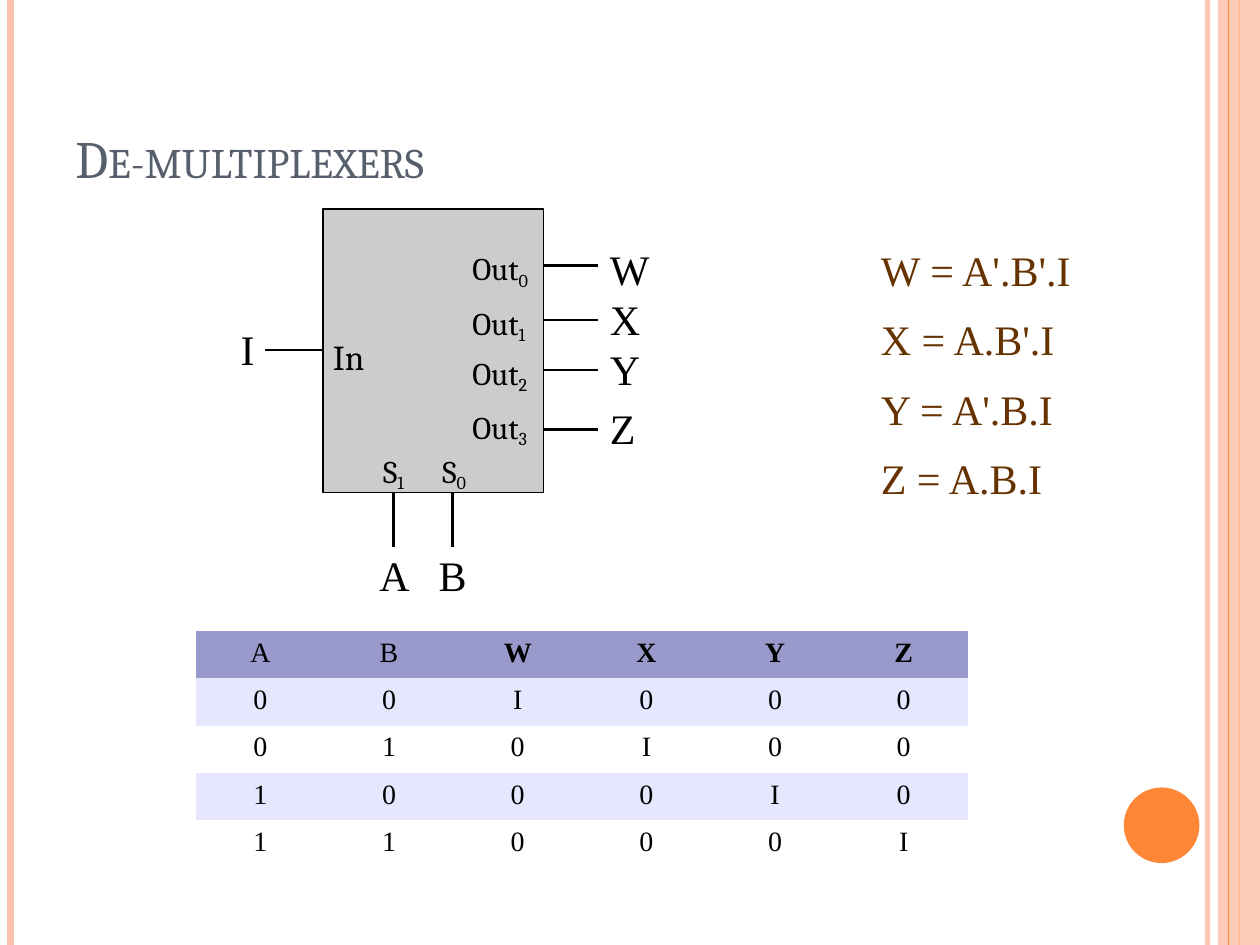
from lxml import etree
from pptx import Presentation
from pptx import util as u
from pptx.dml.color import RGBColor
from pptx.enum import shapes, text
from pptx.oxml.ns import qn

COLOURS = {
    "ink": "000000", "title": "575F6D", "formula": "663300", "block": "CCCCCC",
    "peach": "FEC3AE", "orange": "FE8637",
    "header": "9999CC", "band": "E6E6FF", "plain": "FFFFFF",
}
SERIF, TIMES = "Cambria", "Times New Roman"
PORT = {"name": SERIF, "size": u.Pt(18)}
PIN = {"name": SERIF, "size": u.Pt(20)}
SIGNAL = {"name": TIMES, "size": u.Pt(24)}
CELL = {"name": TIMES, "size": u.Pt(16)}
TITLE = {"name": SERIF, "size": u.Pt(30)}
NO_GRID_STYLE = "{2D5ABB26-0587-4C30-8999-92F81FD0307C}"


def colour(name):
    return RGBColor.from_string(COLOURS[name])


def points(*values):
    return [u.Pt(value) for value in values]


def set_values(target, values):
    for name, value in values.items():
        setattr(target, name, value)


def set_alpha(fill_parent, percent):
    """Make the first solid colour below an element translucent."""
    element = next(fill_parent.iter(qn("a:srgbClr")))
    etree.SubElement(element, qn("a:alpha")).set("val", str(percent * 1000))


def add_run(paragraph, wording, font, ink):
    run = paragraph.add_run()
    run.text = wording
    set_values(run.font, font)
    run.font.color.rgb = colour(ink)
    return run


def add_text(slide, box, wording, font, ink="ink", subscript="", top=5, anchor="TOP"):
    frame = slide.shapes.add_textbox(*points(*box)).text_frame
    set_values(frame, {
        "word_wrap": True, "vertical_anchor": text.MSO_ANCHOR[anchor],
        "margin_left": u.Pt(7.2), "margin_right": u.Pt(7.2),
        "margin_top": u.Pt(top), "margin_bottom": u.Pt(3.6),
    })
    paragraph = frame.paragraphs[0]
    if font is SIGNAL:
        paragraph.line_spacing = 0.95
    run = add_run(paragraph, wording, font, ink)
    if subscript:
        low = add_run(paragraph, subscript, font, ink)
        low.font._element.set("baseline", "-20000")
    return run


def add_line(slide, ends, ink="ink", width=1.45):
    line = slide.shapes.add_connector(shapes.MSO_CONNECTOR.STRAIGHT, *points(*ends))
    line.line.color.rgb = colour(ink)
    line.line.width = u.Pt(width)
    etree.SubElement(line._element.spPr, qn("a:effectLst"))
    return line


def add_filled(slide, kind, box, fill):
    shape = slide.shapes.add_shape(kind, *points(*box))
    shape.shadow.inherit = False
    shape.fill.solid()
    shape.fill.fore_color.rgb = colour(fill)
    shape.line.fill.background()
    return shape


def add_page_frame(slide, left, top, width, height):
    right, bottom = left + width, top + height

    def stripe(x, ink, thickness):
        return add_line(slide, (x, top, x, bottom), ink, thickness)

    set_alpha(stripe(right - 30, "peach", 3)._element, 93)
    stripe(left + 6, "peach", 4.5)
    stripe(right - 12, "orange", 1.5)
    band = add_filled(slide, shapes.MSO_SHAPE.RECTANGLE,
                      (right - 24, top, 24, height), "peach")
    set_alpha(band._element, 87)
    stripe(right - 18, "orange", 0.75)
    add_filled(slide, shapes.MSO_SHAPE.OVAL, (right - 77.8, bottom - 90, 43.2, 43.2), "orange")


def add_title(slide, box, wording):
    run = add_text(slide, box, wording, TITLE, "title", top=3.6, anchor="BOTTOM")
    run.font._element.set("cap", "small")


def add_formulas(slide, left, top, width, height):
    formulas = ("W = A'.B'.I", "X = A.B'.I", "Y = A'.B.I", "Z = A.B.I")
    pitch = height / len(formulas)
    for row, formula in enumerate(formulas):
        add_text(slide, (left, top + row * pitch, width, 33.8), formula, SIGNAL, "formula")


def add_demultiplexer(slide, left, top, width, height):
    # Name, wire height, port top, label top
    outputs = (("W", 32.2, 18, 16.9), ("X", 63.4, 49.3, 45.2),
               ("Y", 92, 77.8, 73.7), ("Z", 126, 108.7, 107.6))
    # Name, subscript, wire offset
    selects = (("A", "1", 40.3), ("B", "0", 74.2))
    wire, inside = 54, 23
    exit_x = left + width - inside
    exit_y = top + height - inside

    # Wires run under the block
    for _, offset, *_ in outputs:
        add_line(slide, (exit_x, top + offset, exit_x + wire, top + offset))
    for _, _, offset in selects:
        add_line(slide, (left + offset, exit_y, left + offset, exit_y + wire))
    input_y = top + height / 2 - 0.4
    add_line(slide, (left - 33, input_y, left - 33 + wire, input_y))

    # Block
    block = add_filled(slide, shapes.MSO_SHAPE.RECTANGLE, (left, top, width, height), "block")
    block.line.color.rgb = colour("ink")
    block.line.width = u.Pt(0.75)

    # Ports and signal names
    add_text(slide, (left - 1.4, top + 67.2, 40, 29.5), "In", PIN)
    add_text(slide, (left - 54, top + 62.4, 30, 33.8), "I", SIGNAL)
    for index, (name, _, port_y, label_y) in enumerate(outputs):
        add_text(slide, (left + 78.3, top + port_y, 54, 29.5), "Out", PORT, subscript=str(index))
        add_text(slide, (exit_x + wire, top + label_y, 42, 33.8), name, SIGNAL)
    for name, subscript, offset in selects:
        add_text(slide, (left + offset - 13, top + 133.7, 36, 29.5), "S", PORT,
                 subscript=subscript)
        add_text(slide, (left + offset - 15.1, exit_y + wire - 1.4, 36, 33.8), name, SIGNAL)


def add_truth_table(slide, left, top, width, height):
    rows = ("ABWXYZ", "00I000", "010I00", "1000I0", "11000I")
    frame = slide.shapes.add_table(len(rows), len(rows[0]), *points(left, top, width, height))
    table = frame.table
    next(frame._element.iter(qn("a:tableStyleId"))).text = NO_GRID_STYLE
    for column in table.columns:
        column.width = u.Pt(width / len(rows[0]))
    for row_index, row in enumerate(rows):
        table.rows[row_index].height = u.Pt(height / len(rows))
        fill = "header" if row_index == 0 else ("plain", "band")[row_index % 2]
        for column_index, value in enumerate(row):
            cell = table.cell(row_index, column_index)
            set_values(cell, {"margin_left": u.Pt(7.2), "margin_right": u.Pt(7.2),
                              "margin_top": u.Pt(4.3), "margin_bottom": u.Pt(3.6)})
            cell.fill.solid()
            cell.fill.fore_color.rgb = colour(fill)
            paragraph = cell.text_frame.paragraphs[0]
            set_values(paragraph, {"alignment": text.PP_ALIGN.CENTER, "line_spacing": 0.95})
            run = add_run(paragraph, value, CELL, "ink")
            run.font.bold = row_index == 0 and column_index > 1


presentation = Presentation()
set_values(presentation, {"slide_width": u.Pt(720), "slide_height": u.Pt(540)})
slide = presentation.slides.add_slide(presentation.slide_layouts[6])
add_page_frame(slide, 0, 0, 720, 540)
add_title(slide, (36, 21.6, 588, 90), "De-multiplexers")
add_formulas(slide, 496.3, 136.6, 140, 159.2)
add_demultiplexer(slide, 184.5, 119.5, 126, 162)
add_truth_table(slide, 112, 360.6, 441.2, 135.2)
presentation.save("out.pptx")
